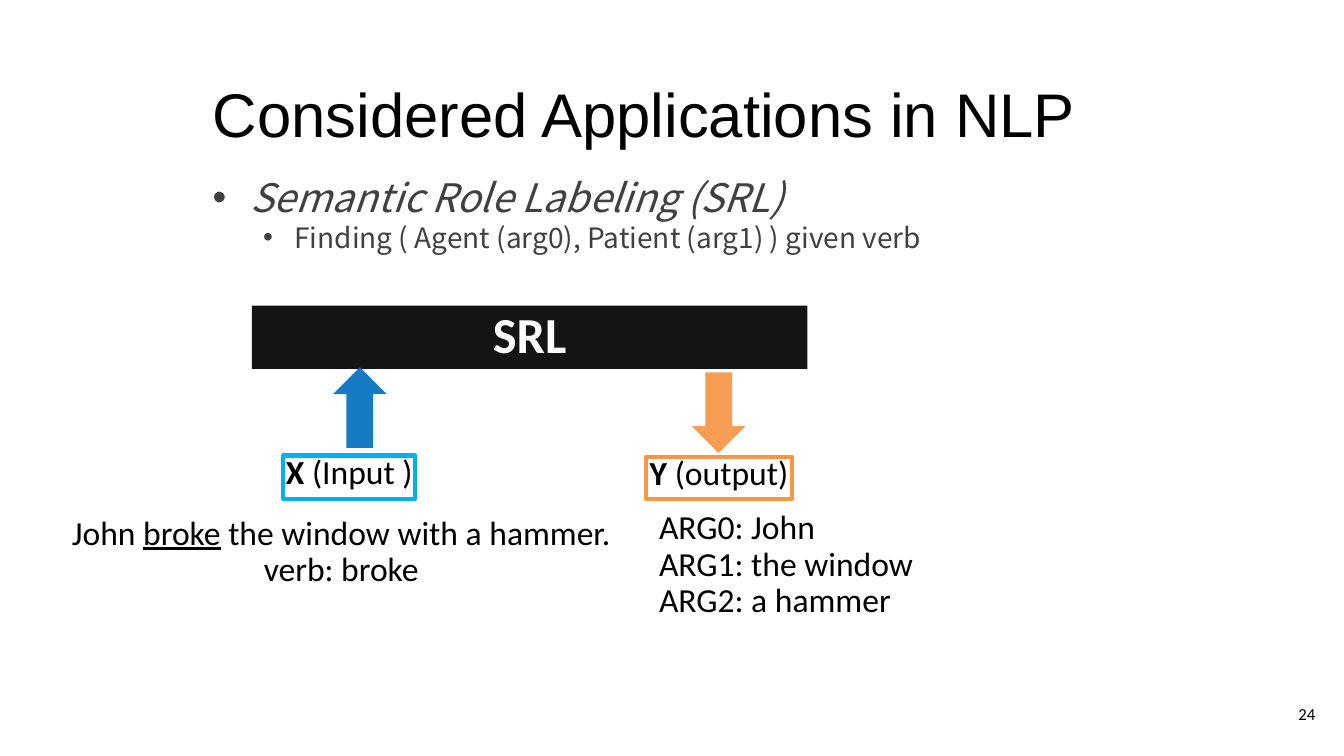
from lxml import etree
from pptx import Presentation
from pptx.dml.color import RGBColor
from pptx.enum import shapes, text
from pptx.oxml import ns
from pptx.util import Cm, Pt

BLACK = RGBColor(0x00, 0x00, 0x00)
WHITE = RGBColor(0xFF, 0xFF, 0xFF)
GREY = RGBColor(0x40, 0x40, 0x40)
BLUE = RGBColor(0x00, 0x70, 0xC0)
SKY = RGBColor(0x00, 0xB0, 0xF0)
ORANGE = RGBColor(0xF7, 0x96, 0x46)

LEFT, MID, RIGHT = text.PP_ALIGN.LEFT, text.PP_ALIGN.CENTER, text.PP_ALIGN.RIGHT
PAD = 0.25

# Each line is a list of runs; a run is (words, marks) with b, i, u as marks.
TITLE = [[("Considered Applications in NLP", "")]]
# Bullets: line, level, size, indent, hang
BULLETS = [
    ([("Semantic Role Labeling (SRL)", "i")], 0, 28, 0.95, 0.95),
    ([("Finding ( Agent (arg0), Patient (arg1) ) given verb", "")], 1, 20, 2.06, 0.79),
]
MODEL = [[("SRL", "b")]]
# Arrows: centre x, centre y, turn, colour
ARROWS = [(9.07, 10.27, 270, BLUE), (18.11, 10.4, 90, ORANGE)]
# Tags: place, line, border
TAGS = [
    ((16.28, 11.51, 3.68, 1.06), [("Y", "b"), (" (output)", "")], ORANGE),
    ((7.14, 11.48, 3.33, 1.09), [("X ", "b"), ("(Input )", "")], SKY),
]
ROLES = [[("ARG0: John", "")], [("ARG1: the window", "")], [("ARG2: a hammer", "")]]
SAMPLE = [
    [("John ", ""), ("broke", "u"), (" the window with a hammer.", "")],
    [("verb: broke", "")],
]
PAGE = [[("24", "")]]

deck = Presentation()
deck.slide_width, deck.slide_height = Cm(33.87), Cm(19.05)
slide = deck.slides.add_slide(deck.slide_layouts[6])


def add_runs(para, line, size, font, color):
    for words, marks in line:
        run = para.add_run()
        run.text = words
        face = run.font
        face.name, face.size, face.color.rgb = font, Pt(size), color
        face.bold, face.italic, face.underline = ("b" in marks, "i" in marks, "u" in marks)
        for tag in ("a:ea", "a:cs"):
            etree.SubElement(run._r.rPr, ns.qn(tag), typeface=font)


def set_frame(shape, pad=0.0, wrap=True, middle=False):
    frame = shape.text_frame
    frame.margin_left = frame.margin_right = Cm(pad)
    frame.margin_top = frame.margin_bottom = Cm(pad)
    frame.word_wrap = wrap
    frame.vertical_anchor = text.MSO_ANCHOR.MIDDLE if middle else text.MSO_ANCHOR.TOP
    return frame


def fill_text(frame, lines, size, align=LEFT, font="Calibri", color=BLACK, gap=0.9):
    for n, line in enumerate(lines):
        para = frame.paragraphs[0] if n == 0 else frame.add_paragraph()
        para.alignment, para.line_spacing = align, gap
        add_runs(para, line, size, font, color)


def add_box(place):
    return slide.shapes.add_textbox(*map(Cm, place))


def add_form(kind, place, fill=None, line=None):
    """Add a flat shape; a filled one is 92% opaque."""
    form = slide.shapes.add_shape(kind, *map(Cm, place))
    form.shadow.inherit = False
    if fill is None:
        form.fill.background()
    else:
        form.fill.solid()
        form.fill.fore_color.rgb = fill
        tint = form._element.spPr.find(".//" + ns.qn("a:srgbClr"))
        etree.SubElement(tint, ns.qn("a:alpha"), val="92000")
    if line is None:
        form.line.fill.background()
    else:
        form.line.color.rgb = line
        form.line.width = Pt(3)
    return form


def add_bullets(frame):
    for n, (line, level, size, indent, hang) in enumerate(BULLETS):
        para = frame.paragraphs[0] if n == 0 else frame.add_paragraph()
        para.level = level
        props = para._p.get_or_add_pPr()
        props.set("marL", str(Cm(indent)))
        props.set("indent", str(-Cm(hang)))
        etree.SubElement(props, ns.qn("a:buFont"), typeface="Arial")
        etree.SubElement(props, ns.qn("a:buChar"), char="•")
        add_runs(para, line, size, "Noto Sans CJK KR", GREY)


def main():
    page = set_frame(add_box((31.37, 17.27, 2.03, 1.45)), PAD, middle=True)
    fill_text(page, PAGE, 12, RIGHT, gap=1.0)
    title = set_frame(add_box((5.11, 1.67, 24.54, 2.13)), PAD)
    fill_text(title, TITLE, 44, font="Arial", gap=1.0)

    rect = shapes.MSO_SHAPE.RECTANGLE
    model = add_form(rect, (6.35, 7.7, 14.0, 1.6), fill=BLACK)
    fill_text(set_frame(model, 0.1, middle=True), MODEL, 36, MID, color=WHITE)

    long, thick = 2.03, 1.35
    for x, y, turn, color in ARROWS:
        place = (x - long / 2, y - thick / 2, long, thick)
        add_form(shapes.MSO_SHAPE.RIGHT_ARROW, place, fill=color).rotation = turn

    for place, line, border in TAGS:
        tag = add_form(rect, place, line=border)
        fill_text(set_frame(tag, wrap=False), [line], 24, MID)

    add_bullets(set_frame(add_box((5.11, 4.11, 23.67, 12.65)), PAD))
    roles = set_frame(add_box((16.61, 12.87, 7.0, 3.28)))
    fill_text(roles, ROLES, 24)
    sample = set_frame(add_box((1.4, 12.9, 14.4, 1.88)))
    fill_text(sample, SAMPLE, 24, MID)
    sample.paragraphs[0].line_spacing = 1.0

    deck.save("out.pptx")


if __name__ == "__main__":
    main()
